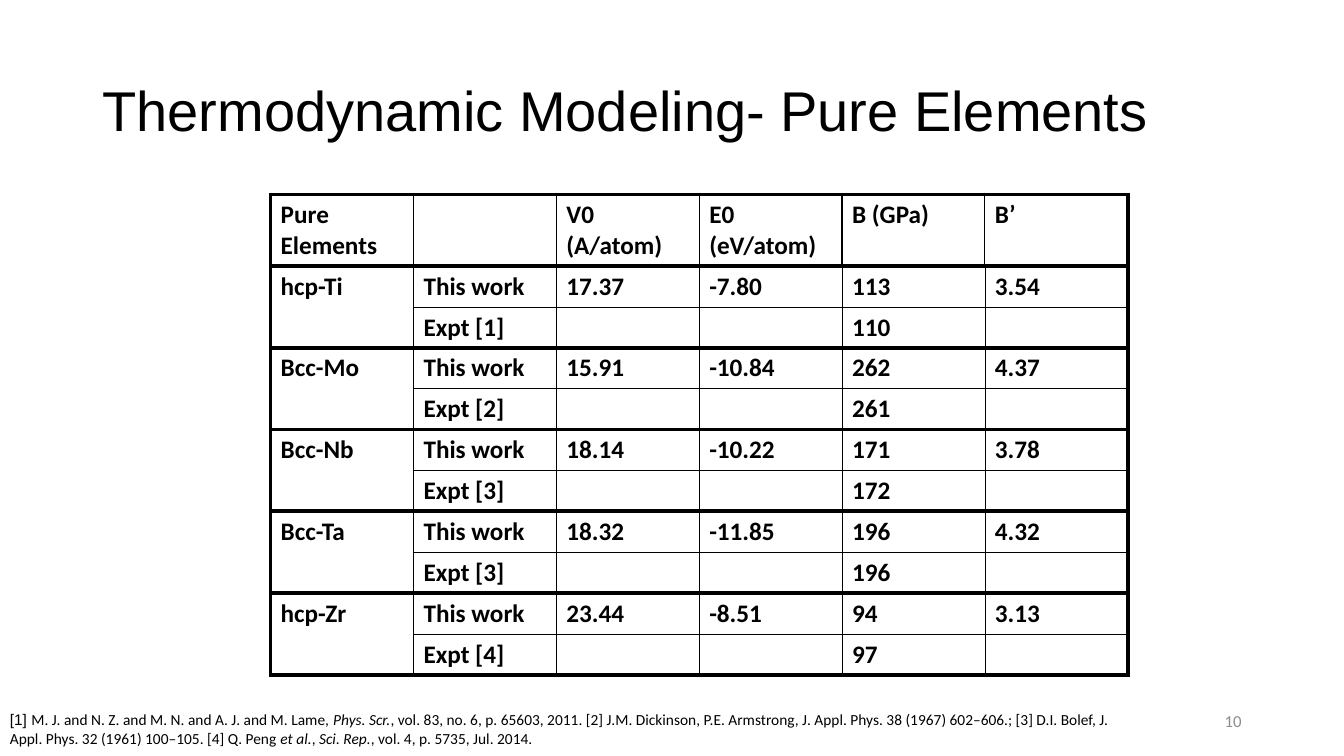
"""Build the slide on thermodynamic modeling of pure elements."""
import lxml.etree
import pptx
import pptx.dml.color
import pptx.enum.text
import pptx.oxml.ns
import pptx.util
from pptx.util import Cm

BLACK = pptx.dml.color.RGBColor(0x00, 0x00, 0x00)
WHITE = pptx.dml.color.RGBColor(0xFF, 0xFF, 0xFF)
GREY = pptx.dml.color.RGBColor(0x8C, 0x8C, 0x8C)

LEFT = pptx.enum.text.PP_ALIGN.LEFT
RIGHT = pptx.enum.text.PP_ALIGN.RIGHT
TOP = pptx.enum.text.MSO_ANCHOR.TOP
MIDDLE = pptx.enum.text.MSO_ANCHOR.MIDDLE

TITLE_FONT = {"name": "Arial", "size": pptx.util.Pt(40)}
CELL_FONT = {"name": "Calibri", "size": pptx.util.Pt(18), "bold": True}
REFERENCE_FONT = {"name": "Calibri", "size": pptx.util.Pt(11)}
NUMBER_FONT = {"name": "Calibri", "size": pptx.util.Pt(12)}

THICK, MEDIUM, THIN = 3, 1, 0.5
COLUMN_WIDTH = Cm(3.6)
HEADER_HEIGHT, ROW_HEIGHT = Cm(1.8), Cm(1.03)

HEADINGS = ("Pure Elements", "", "V0 (A/atom)", "E0 (eV/atom)", "B (GPa)", "B’")
ELEMENTS = (
    ("hcp-Ti", "17.37", "-7.80", "113", "3.54", "Expt [1]", "110"),
    ("Bcc-Mo", "15.91", "-10.84", "262", "4.37", "Expt [2]", "261"),
    ("Bcc-Nb", "18.14", "-10.22", "171", "3.78", "Expt [3]", "172"),
    ("Bcc-Ta", "18.32", "-11.85", "196", "4.32", "Expt [3]", "196"),
    ("hcp-Zr", "23.44", "-8.51", "94", "3.13", "Expt [4]", "97"),
)
REFERENCES = (
    ("[1] ", {"name": "Arial"}),
    ("M. J. and N. Z. and M. N. and A. J. and M. Lame, ", {}),
    ("Phys. Scr.", {"italic": True}),
    (", vol. 83, no. 6, p. 65603, 2011. [2] J.M. Dickinson, P.E. Armstrong, "
     "J. Appl. Phys. 38 (1967) 602–606.; [3] D.I. Bolef, "
     "J. Appl. Phys. 32 (1961) 100–105. [4] Q. Peng ", {}),
    ("et al.", {"italic": True}),
    (", ", {}),
    ("Sci. Rep.", {"italic": True}),
    (", vol. 4, p. 5735, Jul. 2014.", {}),
)


def set_values(target, values):
    for name, value in values.items():
        setattr(target, name, value)


def add_run(paragraph, text, font_values, color=BLACK):
    run = paragraph.add_run()
    run.text = text
    set_values(run.font, font_values)
    run.font.color.rgb = color


def add_title(slide, text):
    title = slide.shapes.title
    set_values(title, {"left": Cm(2.33), "top": Cm(1.01),
                       "width": Cm(29.21), "height": Cm(3.68)})
    set_values(title.text_frame, {"vertical_anchor": MIDDLE, "word_wrap": True,
                                  "auto_size": pptx.enum.text.MSO_AUTO_SIZE.NONE})
    heading = title.text_frame.paragraphs[0]
    set_values(heading, {"alignment": LEFT, "line_spacing": 0.9})
    add_run(heading, text, TITLE_FONT)


def add_text(slide, left, top, width, height, alignment, anchor):
    frame = slide.shapes.add_textbox(left, top, width, height).text_frame
    set_values(frame, {"word_wrap": True, "vertical_anchor": anchor})
    frame.paragraphs[0].alignment = alignment
    return frame.paragraphs[0]


def set_borders(cell, widths):
    properties = cell._tc.get_or_add_tcPr()
    for side, points in widths.items():
        line = lxml.etree.SubElement(properties, pptx.oxml.ns.qn(f"a:ln{side}"),
                                     w=str(pptx.util.Pt(points)))
        fill = lxml.etree.SubElement(line, pptx.oxml.ns.qn("a:solidFill"))
        lxml.etree.SubElement(fill, pptx.oxml.ns.qn("a:srgbClr"), val=str(BLACK))


def border_widths(row, column, last_column):
    inner = MEDIUM if row == 0 else THIN
    return {
        "L": THICK if column == 0 else inner,
        "R": THICK if column == last_column else inner,
        "T": THICK if row == 0 or row % 2 else THIN,
        "B": THICK if row % 2 == 0 or column == 0 else THIN,
    }


def element_rows():
    rows = [HEADINGS]
    for element, volume, energy, modulus, derivative, source, measured in ELEMENTS:
        rows.append((element, "This work", volume, energy, modulus, derivative))
        rows.append(("", source, "", "", measured, ""))
    return rows


def add_element_table(slide, left, top):
    rows = element_rows()
    columns = len(HEADINGS)
    table = slide.shapes.add_table(
        len(rows), columns, left, top, COLUMN_WIDTH * columns,
        HEADER_HEIGHT + ROW_HEIGHT * (len(rows) - 1)).table
    set_values(table, {"first_row": False, "horz_banding": False})
    for column in table.columns:
        column.width = COLUMN_WIDTH
    for index, row in enumerate(rows):
        table.rows[index].height = ROW_HEIGHT if index else HEADER_HEIGHT
        for position, text in enumerate(row):
            cell = table.cell(index, position)
            set_borders(cell, border_widths(index, position, columns - 1))
            cell.fill.solid()
            cell.fill.fore_color.rgb = WHITE
            if text:
                add_run(cell.text_frame.paragraphs[0], text, CELL_FONT)
    for index in range(1, len(rows), 2):
        table.cell(index, 0).merge(table.cell(index + 1, 0))


def main():
    deck = pptx.Presentation()
    set_values(deck, {"slide_width": Cm(33.87), "slide_height": Cm(19.05)})
    slide = deck.slides.add_slide(deck.slide_layouts[5])
    add_element_table(slide, Cm(6.82), Cm(4.9))
    references = add_text(slide, Cm(0), Cm(17.78), Cm(28.8), Cm(1.2), LEFT, TOP)
    for text, changes in REFERENCES:
        add_run(references, text, {**REFERENCE_FONT, **changes})
    number = add_text(slide, Cm(23.92), Cm(17.66), Cm(7.62), Cm(1.01), RIGHT, MIDDLE)
    add_run(number, "10", NUMBER_FONT, GREY)
    add_title(slide, "Thermodynamic Modeling- Pure Elements")
    deck.save("out.pptx")


if __name__ == "__main__":
    main()
